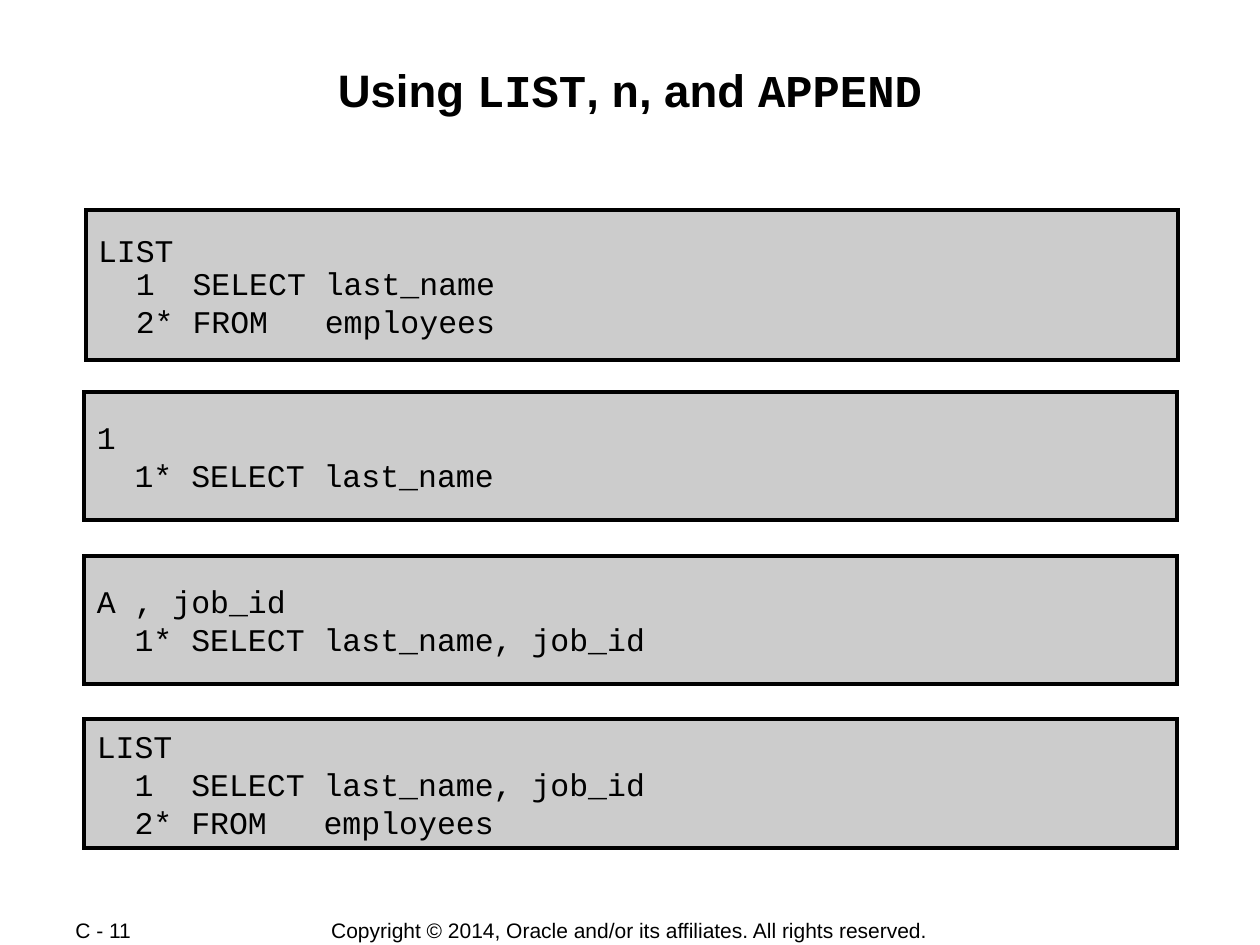
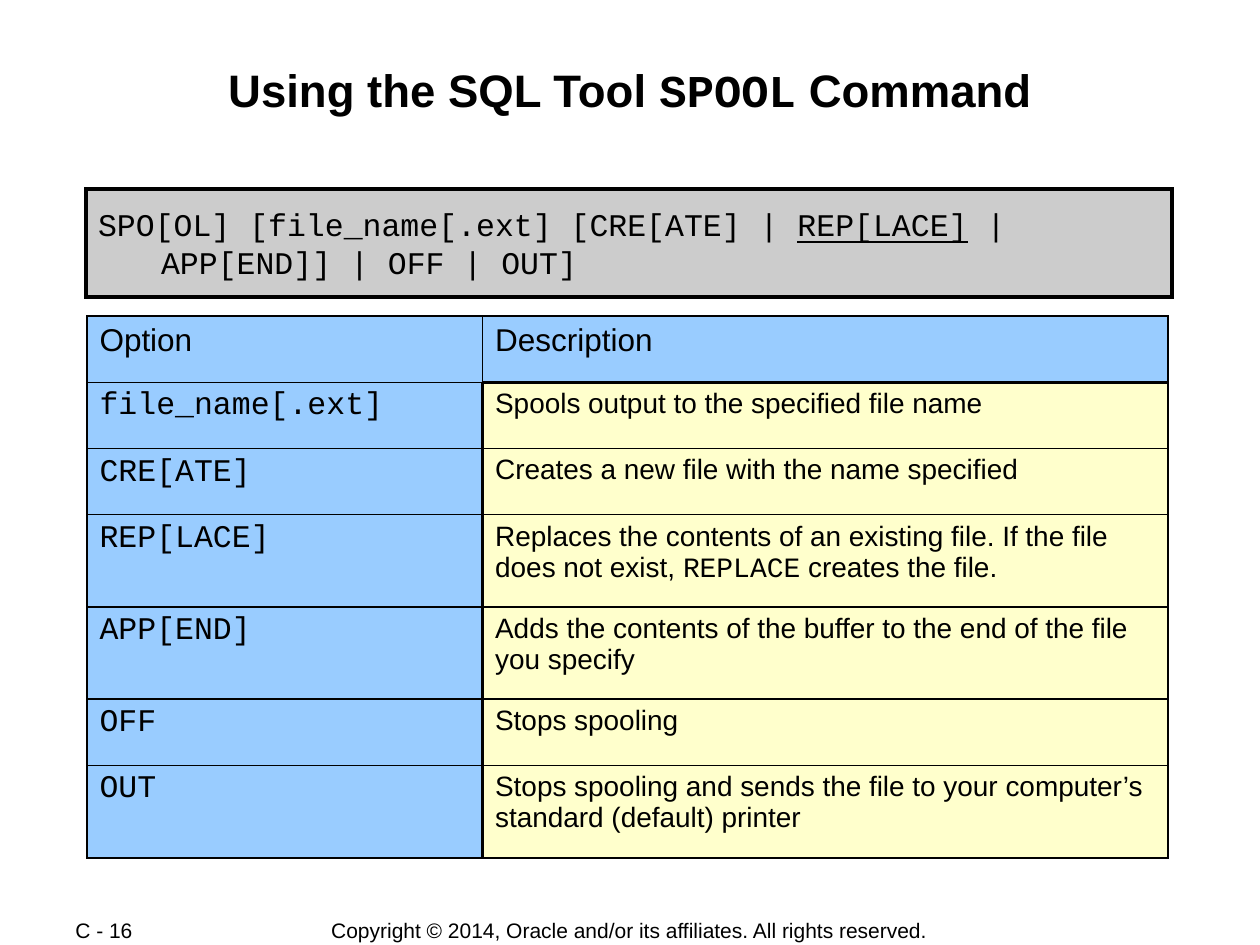
from dataclasses import dataclass
from typing import NamedTuple

from lxml.etree import SubElement
from pptx import Presentation
from pptx.dml.color import RGBColor
from pptx.enum.shapes import MSO_SHAPE
from pptx.enum.text import MSO_ANCHOR, PP_ALIGN
from pptx.oxml.ns import qn
from pptx.util import Emu, Inches, Pt

SLIDE_WIDTH, SLIDE_HEIGHT = Inches(10), Inches(7.5)
COLUMNS, ROWS = 100, 75
BODY_FONT, CODE_FONT = "Arial", "Courier New"
INK, CODE_GREY, OPTION_BLUE, DESCRIPTION_CREAM = "000000", "CCCCCC", "99CCFF", "FFFFCC"
THIN, THICK = 1.08, 2.21
COPYRIGHT = "Copyright © 2014, Oracle and/or its affiliates. All rights reserved."


class Area(NamedTuple):
    column: float
    row: float
    columns: float
    rows: float


class Run(NamedTuple):
    text: str
    code: bool = False
    underline: bool = False


@dataclass
class Line:
    runs: list[Run]
    spacing: float | None = None


@dataclass
class CodeBox:
    area: Area
    lines: list[Line]


class Option(NamedTuple):
    name: str
    description: list[Run]
    rows: float


def across(columns: float) -> Emu:
    return Emu(round(SLIDE_WIDTH * columns / COLUMNS))


def down(rows: float) -> Emu:
    return Emu(round(SLIDE_HEIGHT * rows / ROWS))


def place(area: Area) -> tuple[Emu, Emu, Emu, Emu]:
    return across(area.column), down(area.row), across(area.columns), down(area.rows)


def colour(value: str) -> RGBColor:
    return RGBColor.from_string(value)


def code_line(text: str, spacing: float | None = None) -> Line:
    return Line([Run(text, code=True)], spacing)


def write(frame, lines: list[Line], *, size: float, bold: bool = False,
          align=PP_ALIGN.LEFT, anchor=MSO_ANCHOR.TOP,
          side: float = 1, edge: float = 0.1, hanging: float = 0) -> None:
    frame.word_wrap = True
    frame.vertical_anchor = anchor
    frame.margin_left = frame.margin_right = across(side)
    frame.margin_top = frame.margin_bottom = down(edge)
    for index, line in enumerate(lines):
        paragraph = frame.add_paragraph() if index else frame.paragraphs[0]
        paragraph.alignment = align
        if line.spacing:
            paragraph.line_spacing = line.spacing
        if hanging:
            properties = paragraph._p.get_or_add_pPr()
            properties.set("marL", str(across(hanging)))
            properties.set("indent", str(-across(hanging)))
        for part in line.runs:
            run = paragraph.add_run()
            run.text = part.text
            run.font.name = CODE_FONT if part.code else BODY_FONT
            run.font.size = Pt(size)
            run.font.bold = bold
            run.font.color.rgb = colour(INK)
            if part.underline:
                run.font.underline = True


def add_text(slide, area: Area, runs: list[Run], **style) -> None:
    write(slide.shapes.add_textbox(*place(area)).text_frame, [Line(runs)], **style)


def start_slide(deck, title: list[Run], page: str):
    slide = deck.slides.add_slide(deck.slide_layouts[6])
    add_text(slide, Area(25, 72.8, 49.9, 2.1), [Run(COPYRIGHT)], size=12, side=0, edge=0,
             align=PP_ALIGN.CENTER, anchor=MSO_ANCHOR.MIDDLE)
    add_text(slide, Area(5, 72.8, 10.6, 2.1), [Run(page)], size=12, edge=0,
             anchor=MSO_ANCHOR.MIDDLE)
    add_text(slide, Area(6.7, 4.8, 86.6, 9.6), title, size=26, bold=True, side=0.1,
             align=PP_ALIGN.CENTER)
    return slide


def add_code(slide, code: CodeBox) -> None:
    panel = slide.shapes.add_shape(MSO_SHAPE.RECTANGLE, *place(code.area))
    panel.shadow.inherit = False
    panel.fill.solid()
    panel.fill.fore_color.rgb = colour(CODE_GREY)
    panel.line.color.rgb = colour(INK)
    panel.line.width = Pt(2.25)
    outline = panel._element.spPr.find(qn("a:ln"))
    SubElement(outline, qn("a:miter"), lim="800000")
    write(panel.text_frame, code.lines, size=18, anchor=MSO_ANCHOR.MIDDLE, hanging=5)


def set_borders(cell, left: float = THIN, right: float = THIN,
                top: float = THIN, bottom: float = THIN) -> None:
    properties = cell._tc.get_or_add_tcPr()
    sides = {"a:lnL": left, "a:lnR": right, "a:lnT": top, "a:lnB": bottom}
    for position, (tag, width) in enumerate(sides.items()):
        border = SubElement(properties, qn(tag), w=str(Pt(width)))
        fill = SubElement(border, qn("a:solidFill"))
        SubElement(fill, qn("a:srgbClr"), val=INK)
        properties.insert(position, border)


def fill_cell(cell, runs: list[Run], background: str, size: float, **borders: float) -> None:
    cell.fill.solid()
    cell.fill.fore_color.rgb = colour(background)
    set_borders(cell, **borders)
    write(cell.text_frame, [Line(runs)], size=size)
    cell.margin_left = cell.margin_right = across(1)
    cell.margin_top = cell.margin_bottom = down(0.5)


def add_options(slide, area: Area, name_columns: float, header_rows: float,
                options: list[Option]) -> None:
    table = slide.shapes.add_table(len(options) + 1, 2, *place(area)).table
    table.first_row = table.horz_banding = False
    table.columns[0].width = across(name_columns)
    table.columns[1].width = across(area.columns - name_columns)
    table.rows[0].height = down(header_rows)
    fill_cell(table.cell(0, 0), [Run("Option")], OPTION_BLUE, 18)
    fill_cell(table.cell(0, 1), [Run("Description")], OPTION_BLUE, 18, bottom=THICK)
    for index, option in enumerate(options, start=1):
        table.rows[index].height = down(option.rows)
        fill_cell(table.cell(index, 0), [Run(option.name, code=True)], OPTION_BLUE, 18,
                  right=THICK)
        fill_cell(table.cell(index, 1), option.description, DESCRIPTION_CREAM, 16,
                  left=THICK, top=THICK if index == 1 else THIN)


def build_list_slide(deck) -> None:
    slide = start_slide(deck, [
        Run("Using "), Run("LIST", code=True), Run(", "), Run("n", code=True),
        Run(", and "), Run("APPEND", code=True),
    ], "C - 11")
    add_code(slide, CodeBox(Area(6.8, 16.7, 86.7, 11.9), [
        code_line("LIST"),
        code_line("  1  SELECT last_name", spacing=0.9),
        code_line("  2* FROM   employees"),
    ]))
    steps = [
        ["1", "  1* SELECT last_name"],
        ["A , job_id", "  1* SELECT last_name, job_id"],
        ["LIST", "  1  SELECT last_name, job_id", "  2* FROM   employees"],
    ]
    for index, step in enumerate(steps):
        area = Area(6.7, 31.1 + 13 * index, 86.7, 10.2)
        add_code(slide, CodeBox(area, [code_line(text) for text in step]))


def build_spool_slide(deck) -> None:
    slide = start_slide(deck, [
        Run("Using the SQL Tool "), Run("SPOOL", code=True), Run(" Command"),
    ], "C - 16")
    add_code(slide, CodeBox(Area(6.8, 15, 86.2, 8.6), [Line([
        Run("SPO[OL] [file_name[.ext] [CRE[ATE] | ", code=True),
        Run("REP[LACE]", code=True, underline=True),
        Run(" | APP[END]] | OFF | OUT]", code=True),
    ])]))
    single, double = 5.25, 7.33
    add_options(slide, Area(6.9, 25.1, 85.8, 43), 31.4, single, [
        Option("file_name[.ext]", [Run("Spools output to the specified file name")], single),
        Option("CRE[ATE]", [Run("Creates a new file with the name specified")], single),
        Option("REP[LACE]", [
            Run("Replaces the contents of an existing file. If the file does not exist, "),
            Run("REPLACE", code=True),
            Run(" creates the file."),
        ], double),
        Option("APP[END]", [
            Run("Adds the contents of the buffer to the end of the file you specify"),
        ], double),
        Option("OFF", [Run("Stops spooling")], single),
        Option("OUT", [
            Run("Stops spooling and sends the file to your computer’s standard (default) printer"),
        ], double),
    ])


def main() -> None:
    deck = Presentation()
    deck.slide_width, deck.slide_height = SLIDE_WIDTH, SLIDE_HEIGHT
    build_list_slide(deck)
    build_spool_slide(deck)
    deck.save("out.pptx")


if __name__ == "__main__":
    main()
